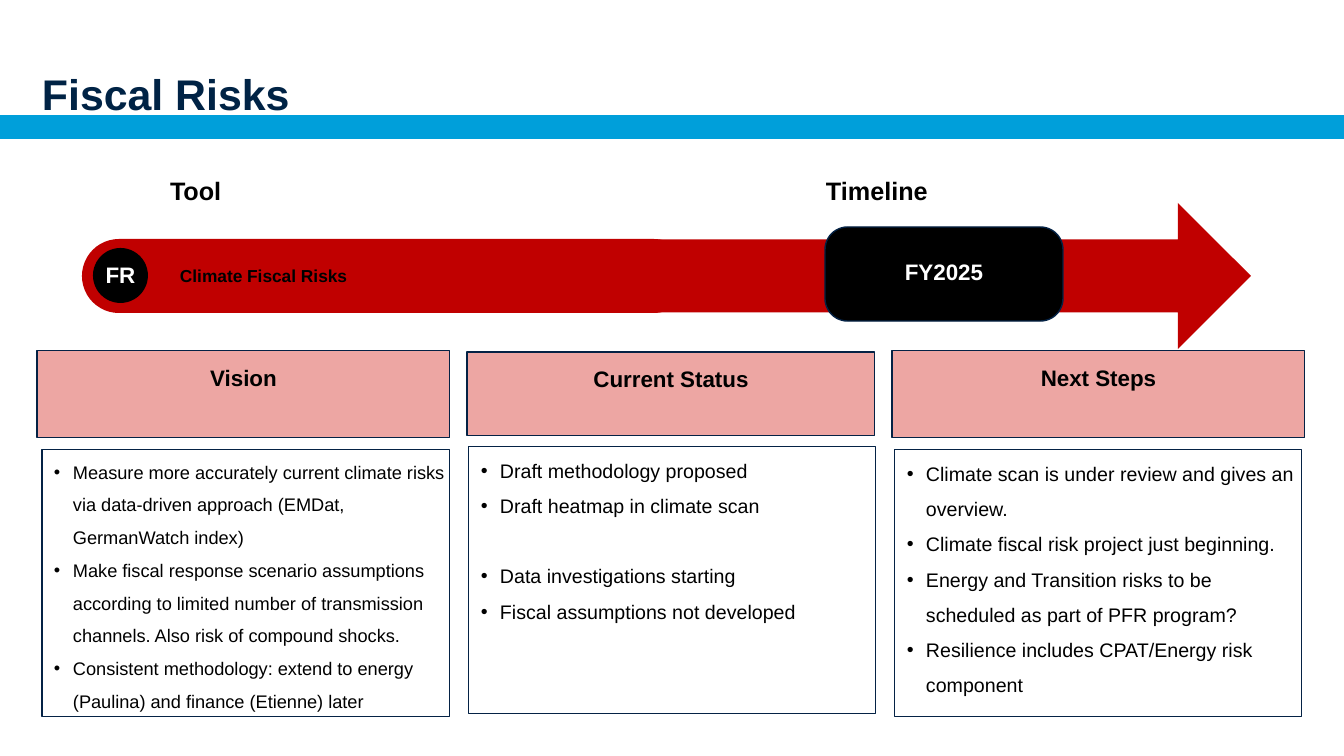
from pptx import Presentation
from pptx import util as u
from pptx.dml.color import RGBColor
from pptx.enum import shapes, text
from pptx.oxml import parse_xml
from pptx.oxml.ns import nsdecls

PX = 12192000 / 1344
FONT = "Arial"
NAVY = RGBColor(0x00, 0x23, 0x45)
OUTLINE = RGBColor(0x04, 0x22, 0x45)
BLUE = RGBColor(0x00, 0x9F, 0xDA)
RED = RGBColor(0xC0, 0x00, 0x00)
PINK = RGBColor(0xED, 0xA6, 0xA3)
BLACK = RGBColor(0, 0, 0)
WHITE = RGBColor(255, 255, 255)
LEFT, CENTER = text.PP_ALIGN.LEFT, text.PP_ALIGN.CENTER
TOP, MIDDLE = text.MSO_ANCHOR.TOP, text.MSO_ANCHOR.MIDDLE
KIND = shapes.MSO_SHAPE

# heading, heading box, list box, list text size, list items
COLUMNS = [
    ("Vision", (37, 351, 413, 87), (42, 450, 408, 267), 13, [
        "Measure more accurately current climate risks via data-driven approach "
        "(EMDat, GermanWatch index)",
        "Make fiscal response scenario assumptions according to limited number of "
        "transmission channels. Also risk of compound shocks.",
        "Consistent methodology: extend to energy (Paulina) and finance (Etienne) later",
    ]),
    ("Current Status", (467, 352, 408, 84), (469, 447, 407, 267), 14, [
        "Draft methodology proposed",
        "Draft heatmap in climate scan",
        "Data investigations starting",
        "Fiscal assumptions not developed",
    ]),
    ("Next Steps", (892, 351, 413, 87), (895, 450, 407, 267), 14, [
        "Climate scan is under review and gives an overview.",
        "Climate fiscal risk project just beginning.",
        "Energy and Transition risks to be scheduled as part of PFR program?",
        "Resilience includes CPAT/Energy risk component",
    ]),
]
GROUP_START = "Data investigations starting"


def px(length):
    return u.Emu(round(length * PX))


def add_shape(page, kind, box, fill=None, line_width=None, adjust=None):
    shape = page.shapes.add_shape(kind, *map(px, box))
    shape.shadow.inherit = False
    if fill is None:
        shape.fill.background()
    else:
        shape.fill.solid()
        shape.fill.fore_color.rgb = fill
    if line_width is None:
        shape.line.fill.background()
    else:
        shape.line.color.rgb = OUTLINE
        shape.line.width = u.Pt(line_width)
    if adjust is not None:
        shape.adjustments[0] = adjust
    return shape


def set_frame(shape, anchor=TOP, margin_bottom=0):
    frame = shape.text_frame
    frame.word_wrap = True
    frame.auto_size = text.MSO_AUTO_SIZE.NONE
    frame.vertical_anchor = anchor
    frame.margin_left = frame.margin_right = frame.margin_top = 0
    frame.margin_bottom = px(margin_bottom)
    return frame


def write(para, words, size, color=BLACK, bold=True, align=LEFT, spacing=1.5):
    para.alignment = align
    para.line_spacing = spacing
    span = para.add_run()
    span.text = words
    span.font.name = FONT
    span.font.size = u.Pt(size)
    span.font.bold = bold
    span.font.color.rgb = color


def add_label(page, box, words, size, spacing=1.5, anchor=TOP):
    label = page.shapes.add_textbox(*map(px, box))
    write(set_frame(label, anchor).paragraphs[0], words, size, spacing=spacing)


def add_bullet(para):
    props = para._p.get_or_add_pPr()
    props.set("marL", str(px(31)))
    props.set("indent", str(px(-19)))
    props.append(parse_xml(f'<a:buFont {nsdecls("a")} typeface="{FONT}"/>'))
    props.append(parse_xml(f'<a:buChar {nsdecls("a")} char="•"/>'))


def draw_heading(page):
    """Place the title above the blue bar, with the bar behind it in the stack."""
    bar = add_shape(page, KIND.RECTANGLE, (0, 115, 1344, 24), BLUE)
    title = page.shapes.title
    title._element.addprevious(bar._element)
    title.left, title.top, title.width, title.height = map(px, (42, 52, 1258, 63))
    frame = set_frame(title)
    write(frame.paragraphs[0], "Fiscal Risks", 30.6, NAVY, spacing=1.3)


def draw_timeline(page, box):
    left, top, width, height = box
    middle = top + height // 2
    add_shape(page, KIND.ROUNDED_RECTANGLE, (left, middle - 37, 609, 74), RED, adjust=0.5)
    add_shape(page, KIND.RIGHT_ARROW, (left + 410, top, width - 410, height), RED)

    year = add_shape(page, KIND.ROUNDED_RECTANGLE, (left + 743, middle - 49, 238, 94),
                     BLACK, 1, 0.24)
    badge = add_shape(page, KIND.OVAL, (left + 11, middle - 28, 55, 55), BLACK)
    for shape, words, lift in ((year, "FY2025", 4), (badge, "FR", 2)):
        write(set_frame(shape, MIDDLE, lift).paragraphs[0], words, 16, WHITE,
              align=CENTER, spacing=1)

    add_label(page, (left + 88, top - 43, 223, 58), "Tool", 18)
    add_label(page, (left + 744, top - 43, 223, 58), "Timeline", 18)
    add_label(page, (left + 98, middle - 20, 609, 40), "Climate Fiscal Risks", 12.4,
              spacing=1, anchor=MIDDLE)


def draw_column(page, heading, heading_box, list_box, size, items):
    header = add_shape(page, KIND.RECTANGLE, heading_box, PINK, 0.75)
    write(set_frame(header).paragraphs[0], heading, 16, align=CENTER)

    body = add_shape(page, KIND.RECTANGLE, list_box, line_width=0.75)
    frame = set_frame(body)
    for index, item in enumerate(items):
        para = frame.add_paragraph() if index else frame.paragraphs[0]
        add_bullet(para)
        write(para, item, size, bold=False)
        if item == GROUP_START:
            para.space_before = u.Pt(25)


def main():
    deck = Presentation()
    deck.slide_width, deck.slide_height = px(1344), px(756)
    page = deck.slides.add_slide(deck.slide_layouts[5])
    draw_heading(page)
    draw_timeline(page, (82, 203, 1169, 146))
    for column in COLUMNS:
        draw_column(page, *column)
    deck.save("out.pptx")


if __name__ == "__main__":
    main()
